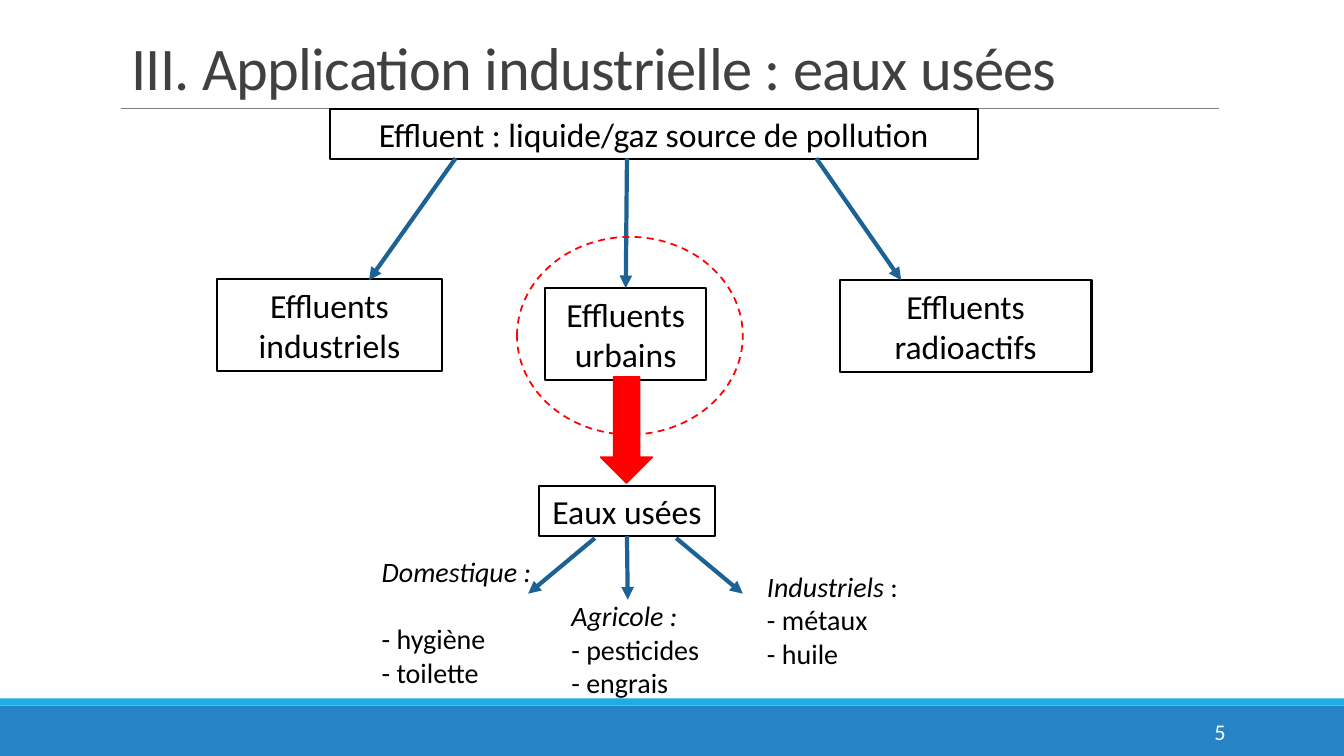
from lxml.etree import SubElement
from pptx import Presentation
from pptx.dml.color import RGBColor
from pptx.enum.dml import MSO_LINE
from pptx.enum.shapes import MSO_CONNECTOR, MSO_SHAPE
from pptx.enum.text import MSO_ANCHOR, PP_ALIGN
from pptx.oxml.ns import qn
from pptx.util import Cm, Pt

COLORS = {name: RGBColor.from_string(value) for name, value in {
    "band": "2683C6", "strip": "1CADE4", "rule": "808080", "title": "404040",
    "text": "000000", "arrow": "1D6294", "accent": "FF0000", "number": "FFFFFF",
}.items()}

deck = Presentation()
deck.slide_width, deck.slide_height = Cm(33.87), Cm(19.05)
page = deck.slides.add_slide(deck.slide_layouts[5])


def add_figure(kind, place, fill=None, line=None, width=1.5):
    figure = page.shapes.add_shape(kind, *map(Cm, place))
    figure.shadow.inherit = False
    if fill:
        figure.fill.solid()
        figure.fill.fore_color.rgb = COLORS[fill]
    else:
        figure.fill.background()
    if line:
        figure.line.color.rgb = COLORS[line]
        figure.line.width = Pt(width)
    else:
        figure.line.fill.background()
    return figure


def add_line(start, end, color, width):
    line = page.shapes.add_connector(MSO_CONNECTOR.STRAIGHT, *map(Cm, start + end))
    line.line.color.rgb = COLORS[color]
    line.line.width = Pt(width)
    SubElement(line._element.spPr, qn("a:effectLst"))
    return line


# Footer bands and rule under the title
add_figure(MSO_SHAPE.RECTANGLE, (0, 17.78, 33.87, 1.27), "band")
add_figure(MSO_SHAPE.RECTANGLE, (0, 17.6, 33.87, 0.18), "strip")
add_line((3.05, 2.72), (30.73, 2.72), "rule", 0.5)

# Title
title = page.shapes.title
title.left, title.top, title.width, title.height = map(Cm, (3.05, 0.79, 27.94, 1.93))
title.text_frame.text = "III. Application industrielle : eaux usées"
title.text_frame.vertical_anchor = MSO_ANCHOR.BOTTOM
para = title.text_frame.paragraphs[0]
para.alignment = PP_ALIGN.LEFT
para.line_spacing = 0.85
para.font.name, para.font.size = "Calibri", Pt(43.2)
para.font.color.rgb = COLORS["title"]
para.runs[0]._r.get_or_add_rPr().set("spc", "-50")

# Page number
number = page.shapes.add_textbox(*map(Cm, (27.51, 17.93, 3.63, 1.02)))
number.text_frame.text = "5"
number.text_frame.vertical_anchor = MSO_ANCHOR.MIDDLE
para = number.text_frame.paragraphs[0]
para.alignment = PP_ALIGN.RIGHT
para.font.name, para.font.size = "Calibri", Pt(16)
para.font.color.rgb = COLORS["number"]

# Framed boxes of the diagram
boxes = {}
for text, place in [
    ("Effluent : liquide/gaz source de pollution", (8.31, 2.74, 16.33, 1.27)),
    ("Effluents industriels", (5.46, 7.04, 5.69, 2.31)),
    ("Effluents urbains", (13.74, 7.26, 4.06, 2.31)),
    ("Effluents radioactifs", (21.16, 7.06, 6.35, 2.31)),
    ("Eaux usées", (13.59, 12.24, 4.42, 1.27)),
]:
    box = boxes[text] = add_figure(MSO_SHAPE.RECTANGLE, place, line="text")
    box.text_frame.word_wrap = True
    box.text_frame.text = text
    para = box.text_frame.paragraphs[0]
    para.alignment = PP_ALIGN.CENTER
    para.font.name, para.font.size = "Calibri", Pt(24)
    para.font.color.rgb = COLORS["text"]

# Arrows between the levels
arrows = []
for start, end in [
    ((11.48, 3.99), (9.3, 7.06)),
    ((15.8, 3.99), (15.8, 7.26)),
    ((20.57, 3.99), (22.71, 7.06)),
    ((14.99, 13.56), (13.31, 14.96)),
    ((15.82, 13.56), (15.82, 15.11)),
    ((17.04, 13.56), (18.72, 14.96)),
]:
    arrow = add_line(start, end, "arrow", 3)
    SubElement(arrow.line._get_or_add_ln(), qn("a:tailEnd"), type="triangle")
    arrows.append(arrow)
arrows[1].end_connect(boxes["Effluents urbains"], 0)
arrows[4].begin_connect(boxes["Eaux usées"], 2)

# Highlight of the urban effluents
ring = add_figure(MSO_SHAPE.OVAL, (13.03, 5.97, 5.69, 4.98), line="accent", width=1.25)
ring.line.dash_style = MSO_LINE.DASH
add_figure(MSO_SHAPE.DOWN_ARROW, (15.14, 9.5, 1.3, 2.67), "accent", "accent", 1.25)

# Kinds of waste water: place, heading, colon in italics, gap below heading, items
for place, heading, slanted_colon, gap, items in [
    ((9.37, 13.84, 4.37, 2.82), "Domestique ", True, 24, ["- hygiène", "- toilette"]),
    ((14.15, 14.96, 3.86, 2.82), "Agricole ", True, 0, ["- pesticides", "- engrais"]),
    ((19.08, 14.22, 4.19, 2.82), "Industriels ", False, 0, ["- métaux", "- huile"]),
]:
    frame = page.shapes.add_textbox(*map(Cm, place)).text_frame
    frame.word_wrap = True
    frame.text = "\n".join([heading] + items)
    colon = frame.paragraphs[0].add_run()
    colon.text = ":"
    frame.paragraphs[0].runs[0].font.italic = True
    colon.font.italic = slanted_colon
    frame.paragraphs[1].space_before = Pt(gap)
    for para in frame.paragraphs:
        para.font.name, para.font.size = "Calibri", Pt(20)
        para.font.color.rgb = COLORS["text"]

deck.save("out.pptx")
